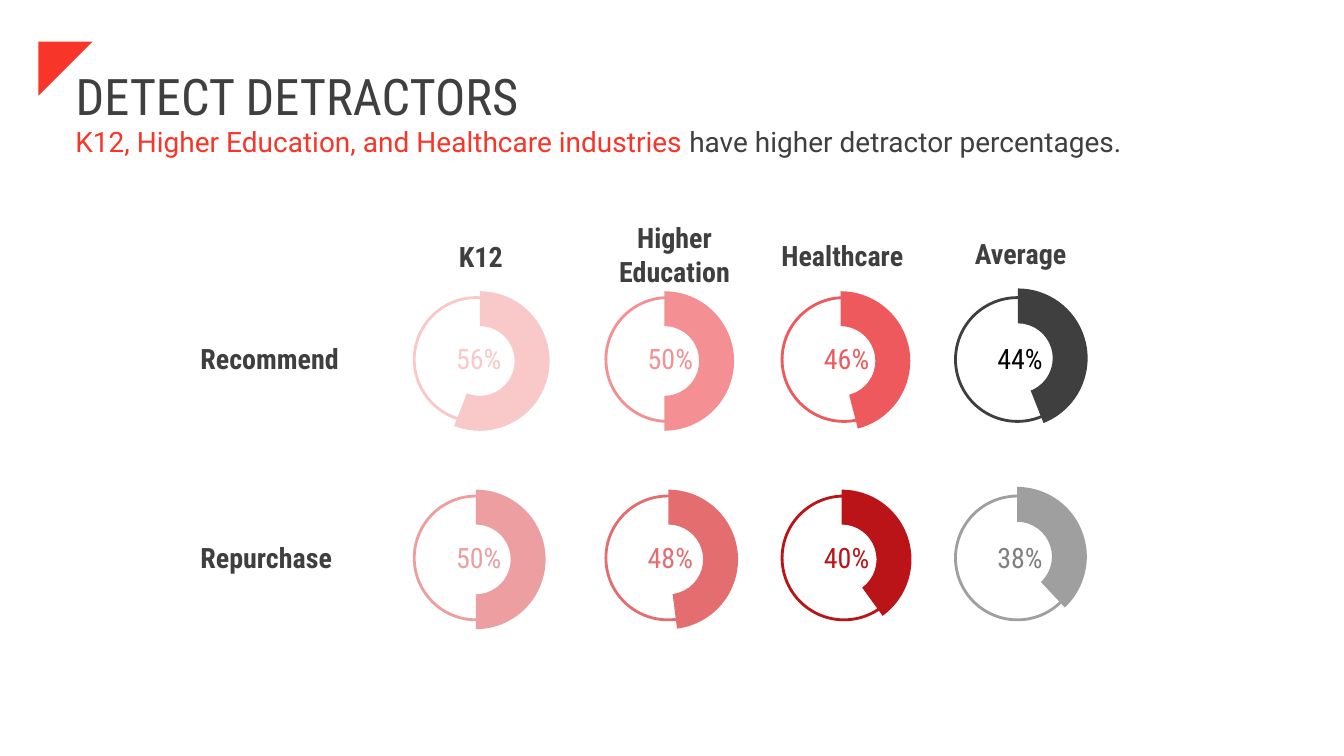
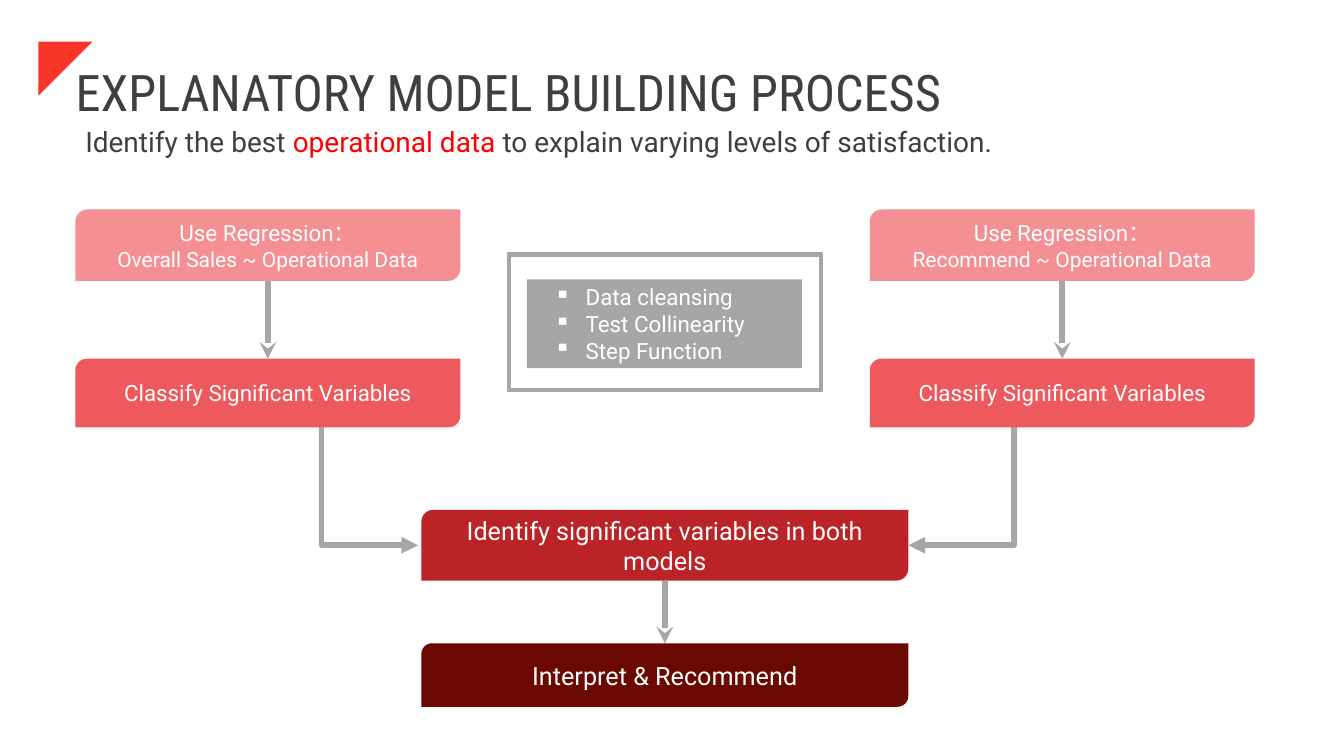
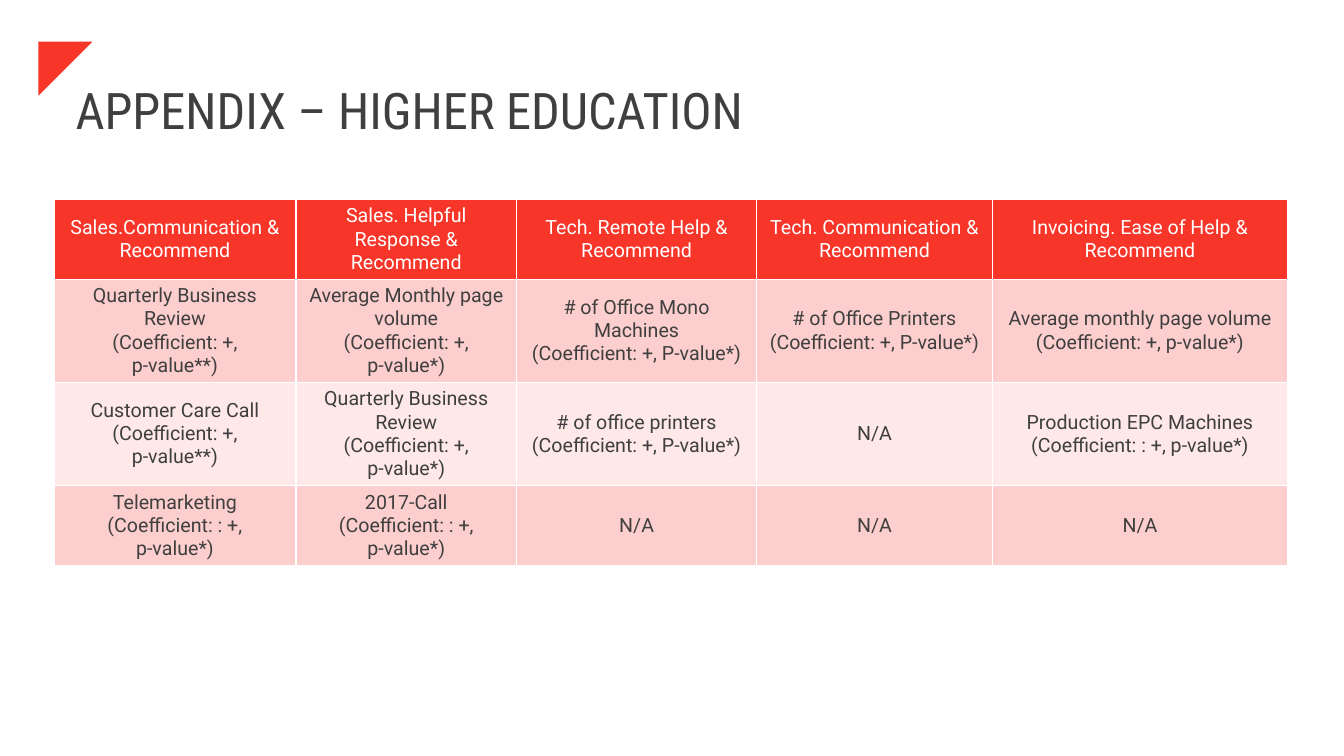
from dataclasses import dataclass

from pptx import Presentation
from pptx import util as u
from pptx.chart.data import CategoryChartData
from pptx.dml.color import RGBColor
from pptx.enum import chart as charts, shapes, text
from pptx.oxml import parse_xml
from pptx.oxml.ns import nsdecls

Cm, Pt = u.Cm, u.Pt


def rgb(code: str) -> RGBColor:
    return RGBColor.from_string(code)


@dataclass(frozen=True)
class Theme:
    body: str = "Roboto"
    condensed: str = "Roboto Condensed"
    title_size: int = 36
    lead_size: int = 20
    step_size: int = 16
    detail_size: int = 15
    result_size: int = 18
    cell_size: int = 14
    chart_size: int = 10
    accent: str = "F83529"
    highlight: str = "FF0000"
    ink: str = "3F3F3F"
    black: str = "000000"
    white: str = "FFFFFF"
    arrow: str = "A6A6A6"
    silver: str = "9F9F9F"
    grey: str = "808080"
    blush: str = "F9C8C9"
    rose: str = "ED9EA0"
    pink: str = "F49093"
    clay: str = "E46D70"
    coral: str = "EE595D"
    crimson: str = "BA1318"
    brick: str = "BB2326"
    maroon: str = "690902"
    band_dark: str = "FCCECD"
    band_light: str = "FEE8E8"


THEME = Theme()
LEFT, CENTER = text.PP_ALIGN.LEFT, text.PP_ALIGN.CENTER


@dataclass(frozen=True)
class Span:
    words: str
    color: str


@dataclass(frozen=True)
class Gauge:
    percent: int
    color: str
    label_color: str
    arc_left: float
    arc_rise: float = 0.5


@dataclass(frozen=True)
class Industry:
    heading: str
    center: float
    heading_top: float
    ring_left: float
    gauges: tuple[Gauge, Gauge]


@dataclass(frozen=True)
class Step:
    lines: tuple[str, ...]
    left: float
    top: float
    width: float
    height: float
    color: str
    size: int


def style(para, size: int, color: str, face: str = THEME.body, align=LEFT, bold: bool = False) -> None:
    para.alignment = align
    font = para.font
    font.name, font.size, font.bold = face, Pt(size), bold
    font.color.rgb = rgb(color)


def add_label(page, words: str, left: float, top: float, width: float,
              color: str = THEME.ink, align=CENTER, bold: bool = True) -> None:
    box = page.shapes.add_textbox(Cm(left), Cm(top), Cm(width), Cm(1.12))
    box.text_frame.word_wrap = True
    box.text_frame.text = words
    style(box.text_frame.paragraphs[0], THEME.lead_size, color, THEME.condensed, align, bold)


def add_block(page, kind, left: float, top: float, width: float, height: float,
              fill: str | None = None, line: str | None = None, weight: float = 1):
    """Add a preset shape without shadow, with optional fill and outline."""
    shape = page.shapes.add_shape(kind, Cm(left), Cm(top), Cm(width), Cm(height))
    shape.shadow.inherit = False
    if fill:
        shape.fill.solid()
        shape.fill.fore_color.rgb = rgb(fill)
    else:
        shape.fill.background()
    if line:
        shape.line.color.rgb = rgb(line)
        shape.line.width = Pt(weight)
    else:
        shape.line.fill.background()
    return shape


def prepare_layout(deck):
    """Leave only the title on the title-only layout."""
    layout = deck.slide_layouts[5]
    for holder in list(layout.placeholders):
        if holder.placeholder_format.type != shapes.PP_PLACEHOLDER.TITLE:
            holder.element.getparent().remove(holder.element)
    return layout


def add_corner_mark(page, layout) -> None:
    """Draw the corner triangle and move it to the layout all pages share."""
    left, top, side = Cm(0.97), Cm(1.05), Cm(1.36)
    outline = page.shapes.build_freeform(left, top, scale=1.0)
    outline.add_line_segments([(left + side, top), (left, top + side)], close=True)
    mark = outline.convert_to_shape()
    mark.shadow.inherit = False
    mark.fill.solid()
    mark.fill.fore_color.rgb = rgb(THEME.accent)
    mark.line.fill.background()
    layout.element.xpath(".//p:spTree")[0].append(mark.element)


def add_page(deck, layout, heading: str, top: float):
    page = deck.slides.add_slide(layout)
    title = page.shapes.title
    title.left, title.top, title.width, title.height = Cm(1.65), Cm(top), Cm(29.21), Cm(3.68)
    frame = title.text_frame
    frame.text = heading
    frame.auto_size = text.MSO_AUTO_SIZE.NONE
    frame.vertical_anchor = text.MSO_ANCHOR.MIDDLE
    para = frame.paragraphs[0]
    style(para, THEME.title_size, THEME.ink, THEME.condensed)
    para.line_spacing = 0.9
    return page


def add_lead(page, left: float, spans: list[Span]) -> None:
    """Add the sentence under the title."""
    box = page.shapes.add_textbox(Cm(left), Cm(3.12), Cm(29.21), Cm(0.99))
    box.text_frame.word_wrap = True
    para = box.text_frame.paragraphs[0]
    style(para, THEME.lead_size, THEME.ink)
    para.line_spacing = 0.9
    for span in spans:
        run = para.add_run()
        run.text = span.words
        run.font.color.rgb = rgb(span.color)


# Detractor gauges

RING_TOPS = (7.5, 12.5)
RING_SIZE = 3.12
ROW_NAMES = ("Recommend", "Repurchase")
INDUSTRIES = (
    Industry("K12", 12.12, 5.92, 10.44, (
        Gauge(56, THEME.blush, THEME.blush, 9.88), Gauge(50, THEME.rose, THEME.rose, 9.78))),
    Industry("Higher Education", 17, 5.44, 15.27, (
        Gauge(50, THEME.pink, THEME.pink, 14.53), Gauge(48, THEME.clay, THEME.clay, 14.63))),
    Industry("Healthcare", 21.23, 5.89, 19.71, (
        Gauge(46, THEME.coral, THEME.coral, 18.97), Gauge(40, THEME.crimson, THEME.crimson, 19))),
    Industry("Average", 25.72, 5.84, 24.08, (
        Gauge(44, THEME.ink, THEME.black, 23.44, 0.57),
        Gauge(38, THEME.silver, THEME.grey, 23.42, 0.57))),
)
PLOT_LAYOUT = (
    f'<c:layout {nsdecls("c")}><c:manualLayout><c:layoutTarget val="inner"/>'
    '<c:xMode val="edge"/><c:yMode val="edge"/><c:x val="0.1"/><c:y val="0.08"/>'
    '<c:w val="0.79"/><c:h val="0.83"/></c:manualLayout></c:layout>'
)


def add_arc(page, gauge: Gauge, top: float) -> None:
    """Add a doughnut chart whose remainder is left unfilled."""
    data = CategoryChartData()
    data.categories = ["1", "2"]
    data.add_series("Series 1", (gauge.percent, 100 - gauge.percent))
    chart = page.shapes.add_chart(charts.XL_CHART_TYPE.DOUGHNUT, Cm(gauge.arc_left), Cm(top),
                                  Cm(4.47), Cm(4.24), data).chart
    chart.has_legend = chart.has_title = False
    chart.font.name, chart.font.size = THEME.body, Pt(THEME.chart_size)
    chart.font.color.rgb = rgb(THEME.ink)
    plot = chart.plots[0]
    plot.vary_by_categories = True
    share, rest = (plot.series[0].points[i].format for i in range(2))
    share.fill.solid()
    share.fill.fore_color.rgb = rgb(gauge.color)
    rest.fill.background()
    for part in (share, rest):
        part.line.fill.background()
    area = chart.element.xpath(".//c:plotArea")[0]
    for old in area.xpath("./c:layout"):
        area.remove(old)
    area.insert(0, parse_xml(PLOT_LAYOUT))
    for hole in area.xpath(".//c:holeSize"):
        hole.set("val", "80")


def build_detractors(page) -> None:
    add_lead(page, 1.65, [
        Span("K12, Higher Education, and Healthcare industries ", THEME.accent),
        Span("have higher detractor percentages.", THEME.ink),
    ])
    for name, top in zip(ROW_NAMES, RING_TOPS):
        add_label(page, name, 4.8, top + 0.99, 4.8, align=LEFT)
    for industry in INDUSTRIES:
        add_label(page, industry.heading, industry.center - 2, industry.heading_top, 4)
        for gauge, top in zip(industry.gauges, RING_TOPS):
            add_block(page, shapes.MSO_SHAPE.OVAL, industry.ring_left, top,
                      RING_SIZE, RING_SIZE, line=gauge.color, weight=2)
            add_arc(page, gauge, top - gauge.arc_rise)
            add_label(page, f"{gauge.percent}%", industry.ring_left + 0.66, top + 0.99, 1.93,
                      gauge.label_color, bold=False)


# Model building flow

SIDE_LEFTS = (1.9, 21.92)
SIDE_WIDTH = 9.7
MAIN_LEFT, MAIN_WIDTH = 10.62, 12.27
TARGETS = ("Overall Sales", "Recommend")
STEPS = (
    *(Step(("Use Regression：", f"{target} ~ Operational Data"), left, 5.28, SIDE_WIDTH, 1.8,
           THEME.pink, THEME.step_size) for target, left in zip(TARGETS, SIDE_LEFTS)),
    *(Step(("Classify Significant Variables",), left, 9.04, SIDE_WIDTH, 1.73,
           THEME.coral, THEME.step_size) for left in SIDE_LEFTS),
    Step(("Identify significant variables in both models",), MAIN_LEFT, 12.85, MAIN_WIDTH, 1.78,
         THEME.brick, THEME.result_size),
    Step(("Interpret & Recommend",), MAIN_LEFT, 16.21, MAIN_WIDTH, 1.6,
         THEME.maroon, THEME.result_size),
)
CHECKS = ("Data cleansing", "Test Collinearity", "Step Function")


def fill_block(shape, lines: tuple[str, ...], size: int, align=CENTER) -> None:
    frame = shape.text_frame
    frame.word_wrap = True
    frame.vertical_anchor = text.MSO_ANCHOR.MIDDLE
    frame.margin_left = frame.margin_right = Cm(0.69)
    frame.margin_top = frame.margin_bottom = Cm(0.33)
    frame.text = "\n".join(lines)
    for para in frame.paragraphs:
        style(para, size, THEME.white, align=align)


def add_bullet(para) -> None:
    props = para._p.get_or_add_pPr()
    props.set("marL", str(Cm(0.79)))
    props.set("indent", str(-Cm(0.79)))
    bullet = parse_xml(f'<a:buChar {nsdecls("a")} char="▪"/>')
    props.insert_element_before(bullet, "a:tabLst", "a:defRPr", "a:extLst")


def finish_arrow(connector, head: str) -> None:
    connector.line.color.rgb = rgb(THEME.arrow)
    connector.line.width = Pt(4)
    props = connector.element.spPr
    props.xpath("./a:ln")[0].append(parse_xml(f'<a:tailEnd {nsdecls("a")} type="{head}"/>'))
    props.append(parse_xml(f'<a:effectLst {nsdecls("a")}/>'))


def add_down_arrow(page, x: float, top: float, bottom: float) -> None:
    connector = page.shapes.add_connector(shapes.MSO_CONNECTOR.STRAIGHT,
                                          Cm(x), Cm(top), Cm(x), Cm(bottom))
    finish_arrow(connector, "stealth")


def add_elbow_arrow(page, start_x: float, end_x: float, top: float, bottom: float) -> None:
    """Add an arrow that runs down and then sideways, as a turned one-bend connector."""
    drop, reach = bottom - top, abs(end_x - start_x)
    left = (start_x + end_x - drop) / 2
    upper = (top + bottom - reach) / 2
    connector = page.shapes.add_connector(shapes.MSO_CONNECTOR.ELBOW, Cm(left), Cm(upper),
                                          Cm(left + drop), Cm(upper + reach))
    props = connector.element.spPr
    props.xpath("./a:prstGeom")[0].set("prst", "bentConnector2")
    frame = props.xpath("./a:xfrm")[0]
    if end_x > start_x:
        frame.set("rot", str(270 * 60000))
        frame.set("flipH", "1")
    else:
        frame.set("rot", str(90 * 60000))
    finish_arrow(connector, "triangle")


def build_process(page) -> None:
    add_lead(page, 1.9, [
        Span("Identify the best ", THEME.ink),
        Span("operational data ", THEME.highlight),
        Span("to explain varying levels of satisfaction.", THEME.ink),
    ])
    for left in SIDE_LEFTS:
        add_down_arrow(page, left + SIDE_WIDTH / 2, 7.08, 9.04)
    add_down_arrow(page, MAIN_LEFT + MAIN_WIDTH / 2, 14.63, 16.21)
    add_elbow_arrow(page, 8.1, 10.54, 10.77, 13.74)
    add_elbow_arrow(page, 25.55, 22.89, 10.77, 13.74)
    for step in STEPS:
        block = add_block(page, shapes.MSO_SHAPE.ROUND_2_DIAG_RECTANGLE, step.left, step.top,
                          step.width, step.height, step.color)
        fill_block(block, step.lines, step.size)
        for para in block.text_frame.paragraphs[1:]:
            para.font.size = Pt(THEME.detail_size)
    checks = add_block(page, shapes.MSO_SHAPE.RECTANGLE, 13.28, 7.04, 6.93, 2.24, THEME.arrow)
    fill_block(checks, CHECKS, THEME.step_size, LEFT)
    for para in checks.text_frame.paragraphs:
        add_bullet(para)
    border = add_block(page, shapes.MSO_SHAPE.FRAME, 12.8, 6.38, 7.92, 3.48,
                       THEME.arrow, THEME.arrow)
    border.adjustments[0] = 0.02


# Appendix table

COLUMN_WIDTHS = (6.1, 5.56, 6.05, 5.94, 7.44)
ROW_HEIGHTS = (1.97, 2.6, 2.6, 2.0)
ROW_FILLS = (THEME.accent, THEME.band_dark, THEME.band_light, THEME.band_dark)
FINDINGS = (
    ("Sales.Communication & Recommend", "Sales. Helpful Response & Recommend",
     "Tech. Remote Help & Recommend", "Tech. Communication & Recommend",
     "Invoicing. Ease of Help & Recommend"),
    ("Quarterly Business Review\n(Coefficient: +,\np-value**)",
     "Average Monthly page volume\n(Coefficient: +,\np-value*)",
     "# of Office Mono Machines\n(Coefficient: +, P-value*)",
     "# of Office Printers\n(Coefficient: +, P-value*)",
     "Average monthly page volume\n(Coefficient: +, p-value*)"),
    ("Customer Care Call\n(Coefficient: +,\np-value**)",
     "Quarterly Business Review\n(Coefficient: +,\np-value*)",
     "# of office printers\n(Coefficient: +, P-value*)",
     "N/A",
     "Production EPC Machines\n(Coefficient: : +, p-value*)"),
    ("Telemarketing\n(Coefficient: : +,\np-value*)",
     "2017-Call\n(Coefficient: : +,\np-value*)",
     "N/A", "N/A", "N/A"),
)


def add_cell_borders(cell) -> None:
    props = cell._tc.get_or_add_tcPr()
    for side in "LRTB":
        props.append(parse_xml(
            f'<a:ln{side} {nsdecls("a")} w="{Pt(1)}"><a:solidFill>'
            f'<a:srgbClr val="{THEME.white}"/></a:solidFill></a:ln{side}>'))


def build_appendix(page) -> None:
    table = page.shapes.add_table(len(FINDINGS), len(COLUMN_WIDTHS), Cm(1.36), Cm(5.03),
                                  Cm(sum(COLUMN_WIDTHS)), Cm(sum(ROW_HEIGHTS))).table
    for column, width in zip(table.columns, COLUMN_WIDTHS):
        column.width = Cm(width)
    for row, height, fill, findings in zip(table.rows, ROW_HEIGHTS, ROW_FILLS, FINDINGS):
        row.height = Cm(height)
        color = THEME.white if fill == THEME.accent else THEME.ink
        for cell, words in zip(row.cells, findings):
            add_cell_borders(cell)
            cell.fill.solid()
            cell.fill.fore_color.rgb = rgb(fill)
            cell.vertical_anchor = text.MSO_ANCHOR.MIDDLE
            cell.text_frame.text = words
            for para in cell.text_frame.paragraphs:
                style(para, THEME.cell_size, color, align=CENTER)


def main() -> None:
    deck = Presentation()
    deck.slide_width, deck.slide_height = Cm(33.87), Cm(19.05)
    layout = prepare_layout(deck)
    detractors = add_page(deck, layout, "DETECT DETRACTORS", 0.66)
    add_corner_mark(detractors, layout)
    build_detractors(detractors)
    build_process(add_page(deck, layout, "EXPLANATORY MODEL BUILDING PROCESS", 0.56))
    build_appendix(add_page(deck, layout, "APPENDIX – HIGHER EDUCATION", 1.02))
    deck.save("out.pptx")


if __name__ == "__main__":
    main()
